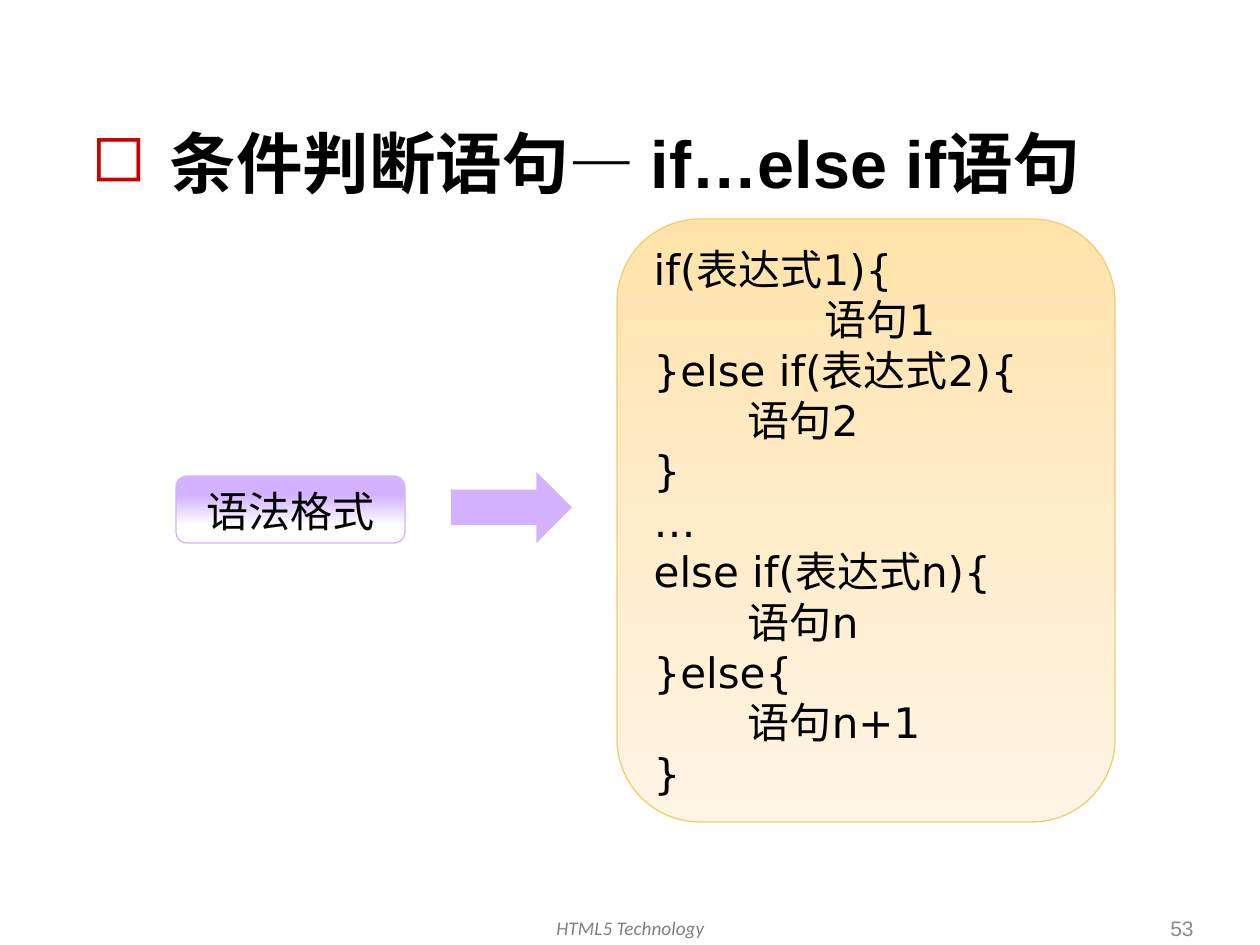
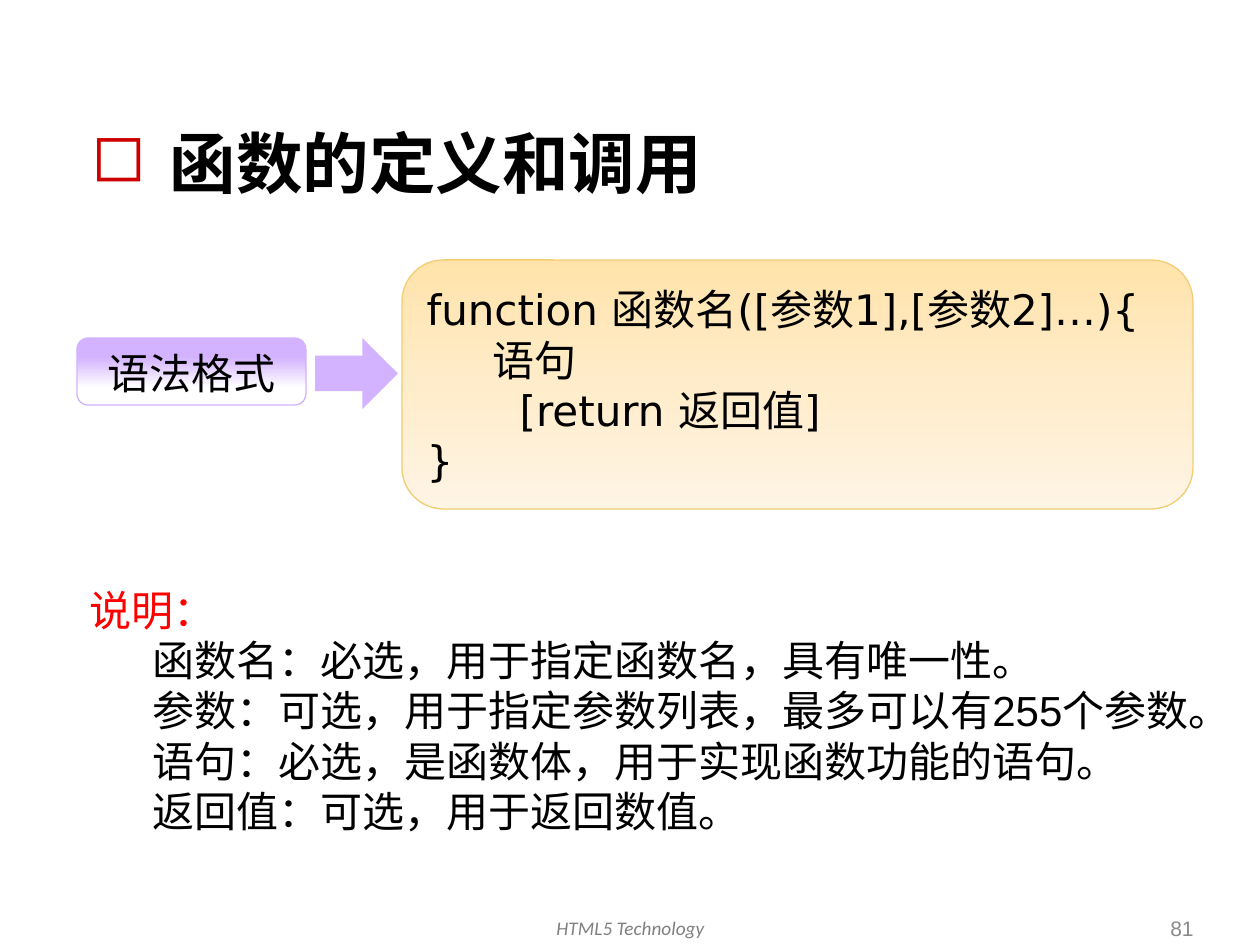
from lxml.etree import SubElement
from pptx import Presentation
from pptx.dml.color import RGBColor
from pptx.enum.shapes import MSO_SHAPE
from pptx.enum.text import MSO_ANCHOR, MSO_AUTO_SIZE, PP_ALIGN
from pptx.oxml.ns import qn
from pptx.util import Emu, Pt

PX_PER_INCH = 126
COLORS = {
    "text": "000000",
    "bullet": "CC0000",
    "note": "FF0000",
    "footer": "808080",
    "number": "898989",
    "lilac": "D3B2FF",
    "white": "FFFFFF",
    "code_top": "FFE3AA",
    "code_middle": "FFECCA",
    "code_bottom": "FFF5E5",
    "code_edge": "F1CD73",
}
LABEL_GRADIENT = [(28, "lilac"), (74, "white"), (100, "white")]
CODE_GRADIENT = [(0, "code_top"), (50, "code_middle"), (100, "code_bottom")]
CJK_FONT = "Noto Sans CJK SC"
CODE_FONT = "DejaVu Sans"
BODY_SIZE = 24
LINE_PITCH = Pt(28.8)

BRANCH_CODE = [
    "if(表达式1){",
    "   语句1",
    "}else if(表达式2){",
    "          语句2",
    "}",
    "…",
    "else if(表达式n){",
    "          语句n",
    "}else{",
    "          语句n+1",
    "}",
]
FUNCTION_CODE = [
    "function 函数名([参数1],[参数2]…){",
    "       语句",
    "       [return 返回值]",
    "}",
]
FUNCTION_PARTS = [
    "函数名：必选，用于指定函数名，具有唯一性。",
    "参数：可选，用于指定参数列表，最多可以有255个参数。",
    "语句：必选，是函数体，用于实现函数功能的语句。",
    "返回值：可选，用于返回数值。",
]


def px(length):
    """Turn pixels into EMU."""
    return Emu(round(length * 914400 / PX_PER_INCH))


def rgb(name):
    """Look up a named colour."""
    return RGBColor.from_string(COLORS[name])


def style(paragraph, size, font, color="text", align=PP_ALIGN.LEFT, bold=False, italic=False):
    """Format every run of a paragraph, with one font for Chinese text."""
    paragraph.alignment = align
    for run in paragraph.runs:
        run.font.size = Pt(size)
        run.font.name = font
        run.font.bold = bold
        run.font.italic = italic
        run.font.color.rgb = rgb(color)
        SubElement(run.font._element, qn("a:ea"), typeface=CJK_FONT)


def add_title(slide, wording):
    """Place the title with its red square bullet."""
    title = slide.shapes.title
    title.left, title.top, title.width, title.height = map(px, (79, 116, 1103, 92))
    frame = title.text_frame
    frame.text = wording
    frame.word_wrap = True
    frame.auto_size = MSO_AUTO_SIZE.NONE
    frame.vertical_anchor = MSO_ANCHOR.MIDDLE
    paragraph = frame.paragraphs[0]
    properties = paragraph._p.get_or_add_pPr()
    properties.set("marL", str(px(78)))
    properties.set("indent", str(-px(78)))
    bullet_color = SubElement(properties, qn("a:buClr"))
    SubElement(bullet_color, qn("a:srgbClr"), val=COLORS["bullet"])
    SubElement(properties, qn("a:buChar"), char="◻")
    style(paragraph, 38, "Arial", bold=True)


def add_text(slide, box, lines, anchor=MSO_ANCHOR.TOP):
    """Add a wrapping text box and return its paragraphs."""
    frame = slide.shapes.add_textbox(*map(px, box)).text_frame
    frame.word_wrap = True
    frame.vertical_anchor = anchor
    frame.text = "\n".join(lines)
    return frame.paragraphs


def add_footer(slide, number):
    """Add the course name and the page number."""
    course = add_text(slide, (406, 910, 449, 42), ["HTML5 Technology"])[0]
    style(course, 11, "Calibri", "footer", PP_ALIGN.CENTER, italic=True)
    page = add_text(slide, (922, 910, 284, 37), [str(number)], MSO_ANCHOR.MIDDLE)[0]
    style(page, 12, "Arial", "number", PP_ALIGN.RIGHT)


def add_panel(slide, box, gradient, edge, lines, anchor):
    """Add a rounded panel with a downward gradient and return its paragraphs."""
    panel = slide.shapes.add_shape(MSO_SHAPE.ROUNDED_RECTANGLE, *map(px, box))
    panel.shadow.inherit = False
    panel.fill.gradient()
    panel.fill.gradient_angle = 270
    stops = panel._element.spPr.find(qn("a:gradFill")).find(qn("a:gsLst"))
    stops.clear()
    for percent, color in gradient:
        stop = SubElement(stops, qn("a:gs"), pos=str(percent * 1000))
        SubElement(stop, qn("a:srgbClr"), val=COLORS[color])
    panel.line.color.rgb = rgb(edge)
    panel.line.width = Pt(0.75)
    panel.text_frame.vertical_anchor = anchor
    panel.text_frame.text = "\n".join(lines)
    return panel.text_frame.paragraphs


def add_syntax_label(slide, left, top):
    """Add the lilac label in front of a syntax panel."""
    label = add_panel(slide, (left, top, 229, 67), LABEL_GRADIENT, "lilac",
                      ["语法格式"], MSO_ANCHOR.TOP)[0]
    style(label, BODY_SIZE, CODE_FONT, align=PP_ALIGN.CENTER)


def add_code(slide, box, lines):
    """Add a syntax panel and return its paragraphs."""
    paragraphs = add_panel(slide, box, CODE_GRADIENT, "code_edge", lines, MSO_ANCHOR.MIDDLE)
    for paragraph in paragraphs:
        style(paragraph, BODY_SIZE, CODE_FONT)
        paragraph.line_spacing = LINE_PITCH
    return paragraphs


def add_arrow(slide, left, top, width):
    """Add the lilac arrow from label to syntax panel."""
    arrow = slide.shapes.add_shape(MSO_SHAPE.RIGHT_ARROW, *map(px, (left, top, width, 71)))
    arrow.shadow.inherit = False
    arrow.fill.solid()
    arrow.fill.fore_color.rgb = rgb("lilac")
    arrow.line.fill.background()


def add_explanation(slide, heading, parts):
    """Explain the parts of the syntax, indented below a red heading."""
    paragraphs = add_text(slide, (77, 578, 1126, 267), [heading, *parts])
    for paragraph in paragraphs:
        style(paragraph, BODY_SIZE, "Arial")
        paragraph.line_spacing = LINE_PITCH
    paragraphs[0].runs[0].font.color.rgb = rgb("note")
    for part in paragraphs[1:]:
        part.level = 1
        part._p.get_or_add_pPr().set("marL", str(px(63)))


def start_slide(deck, title, number):
    """Add a slide with its title and footer."""
    slide = deck.slides.add_slide(deck.slide_layouts[5])
    add_title(slide, title)
    add_footer(slide, number)
    return slide


def main():
    """Build both slides and save them."""
    deck = Presentation()
    deck.slide_width, deck.slide_height = px(1260), px(945)

    branches = start_slide(deck, "条件判断语句— if…else if语句", 53)
    add_syntax_label(branches, 176, 476)
    branch_lines = add_code(branches, (617, 219, 498, 603), BRANCH_CODE)
    branch_lines[1].alignment = PP_ALIGN.CENTER
    add_arrow(branches, 451, 472, 121)

    functions = start_slide(deck, "函数的定义和调用", 81)
    add_syntax_label(functions, 77, 338)
    add_code(functions, (402, 260, 791, 249), FUNCTION_CODE)
    add_arrow(functions, 315, 338, 83)
    add_explanation(functions, "说明：", FUNCTION_PARTS)

    deck.save("out.pptx")


if __name__ == "__main__":
    main()
